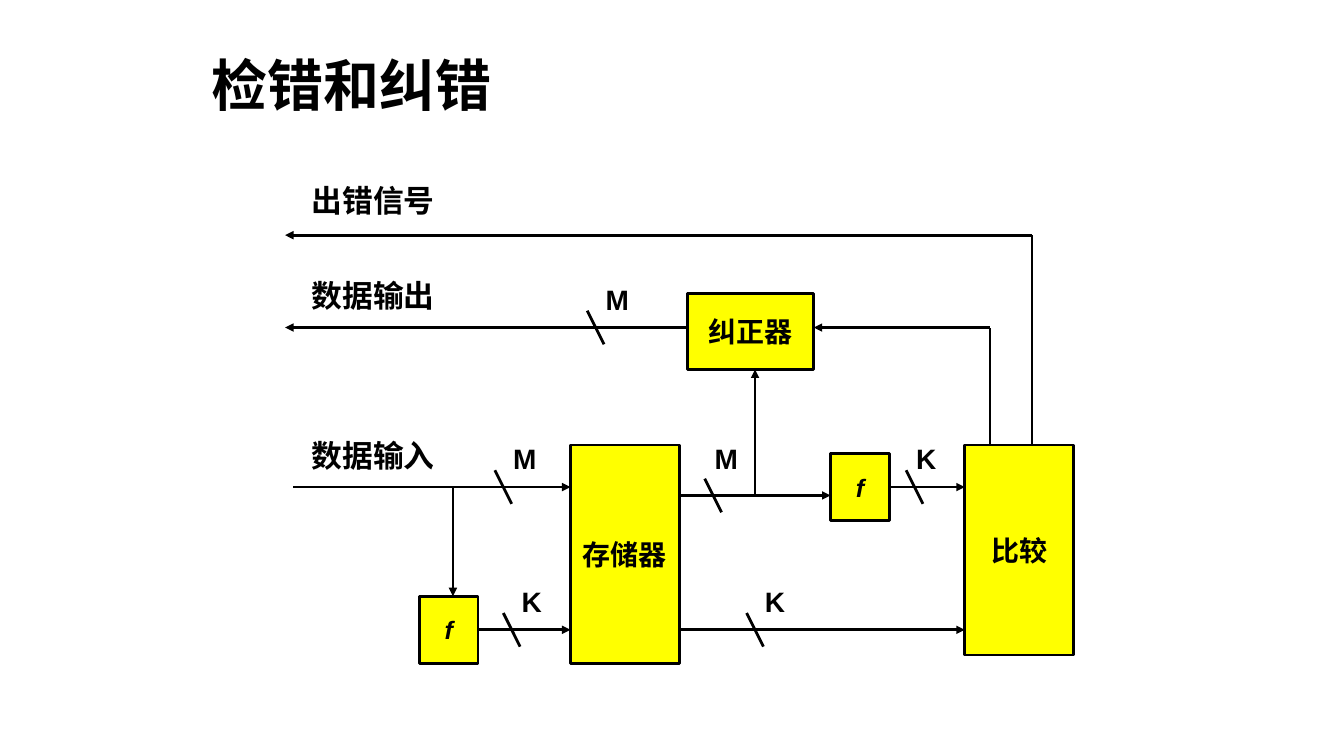
import pptx
import pptx.util
import pptx.dml.color
import pptx.enum.shapes
import pptx.enum.text
import pptx.oxml
import pptx.oxml.ns

Inches = pptx.util.Inches
Pt = pptx.util.Pt
ALIGN = pptx.enum.text.PP_ALIGN
ANCHOR = pptx.enum.text.MSO_ANCHOR

COLOURS = {"ink": "000000", "block": "FFFF00", "paper": "FFFFFF"}
GRID_COLUMNS = 94

BLOCKS = [
    ("f", 16, 50, 7, 8),
    ("存储器", 34, 32, 13, 26),
    ("比较", 81, 32, 13, 25),
    ("f", 65, 33, 7, 8),
    ("纠正器", 48, 14, 15, 9),
]
ARROWS = [
    (23, 54, 34, 54),
    (47, 54, 81, 54),
    (1, 37, 34, 37),
    (20, 37, 20, 50),
    (47, 38, 65, 38),
    (72, 37, 81, 37),
    (56, 38, 56, 23),
    (84, 18, 63, 18),
    (48, 18, 0, 18),
    (89, 7, 0, 7),
]
RISERS = [(84, 32, 84, 18), (89, 32, 89, 7)]
SIGNALS = [("数据输出", 2, 11.4), ("出错信号", 2, 0), ("数据输入", 2, 30.4)]
BUS_WIDTHS = [
    ("M", (37, 12), (36, 16)),
    ("M", (26, 31), (25, 35)),
    ("M", (50, 31), (50, 36)),
    ("K", (74, 31), (74, 35)),
    ("K", (56, 48), (55, 52)),
    ("K", (27, 48), (26, 52)),
]


def colour(name):
    return pptx.dml.color.RGBColor.from_string(COLOURS[name])


def add_span(para, text, size, font="Arial", italic=False):
    span = para.add_run()
    span.text = text
    span.font.name = font
    span.font.size = Pt(size)
    span.font.bold = True
    span.font.italic = italic
    span.font.color.rgb = colour("ink")


def add_title(page, left, top, width, height):
    title = page.shapes.title
    title.left, title.top = Inches(left), Inches(top)
    title.width, title.height = Inches(width), Inches(height)
    title.text_frame.vertical_anchor = ANCHOR.MIDDLE
    para = title.text_frame.paragraphs[0]
    para.alignment = ALIGN.LEFT
    para.line_spacing = 0.9
    add_span(para, "检错和纠错", 40, "Calibri")


def add_block(page, text, left, top, width, height):
    block = page.shapes.add_shape(
        pptx.enum.shapes.MSO_SHAPE.RECTANGLE,
        Inches(left), Inches(top), Inches(width), Inches(height))
    block.shadow.inherit = False
    block.fill.solid()
    block.fill.fore_color.rgb = colour("block")
    block.line.color.rgb = colour("ink")
    block.line.width = Pt(2)
    block.text_frame.word_wrap = False
    block.text_frame.vertical_anchor = ANCHOR.MIDDLE
    para = block.text_frame.paragraphs[0]
    para.alignment = ALIGN.CENTER
    is_function = text == "f"
    add_span(para, text, 18 if is_function else 20, italic=is_function)


def add_line(page, x1, y1, x2, y2, arrow=False):
    line = page.shapes.add_connector(
        pptx.enum.shapes.MSO_CONNECTOR.STRAIGHT,
        Inches(x1), Inches(y1), Inches(x2), Inches(y2))
    line.line.color.rgb = colour("ink")
    line.line.width = Pt(2)
    qn = pptx.oxml.ns.qn
    properties = line._element.spPr
    if arrow:
        tail = pptx.oxml.parse_xml(
            f'<a:tailEnd {pptx.oxml.ns.nsdecls("a")} type="triangle"/>')
        properties.find(qn("a:ln")).append(tail)
    properties.append(pptx.oxml.parse_xml(
        f'<a:effectLst {pptx.oxml.ns.nsdecls("a")}/>'))


def add_label(page, text, size, left, top, width, height):
    label = page.shapes.add_textbox(
        Inches(left), Inches(top), Inches(width), Inches(height))
    label.text_frame.word_wrap = True
    add_span(label.text_frame.paragraphs[0], text, size)


def add_diagram(page, left, top, width):
    unit = width / GRID_COLUMNS

    def at(x, y):
        return left + x * unit, top + y * unit

    for text, x, y, columns, rows in BLOCKS:
        add_block(page, text, *at(x, y), columns * unit, rows * unit)
    for lines, arrow in ((ARROWS, True), (RISERS, False)):
        for x1, y1, x2, y2 in lines:
            add_line(page, *at(x1, y1), *at(x2, y2), arrow)
    for text, x, y in SIGNALS:
        add_label(page, text, 22, *at(x, y), 20 * unit, 0.47)
    for text, label, (x, y) in BUS_WIDTHS:
        add_line(page, *at(x, y), *at(x + 2, y + 4))
        add_label(page, text, 20, *at(*label), 7 * unit, 0.44)


def main():
    deck = pptx.Presentation()
    deck.slide_width, deck.slide_height = Inches(13.34), Inches(7.5)
    page = deck.slides.add_slide(deck.slide_layouts[5])
    page.background.fill.solid()
    page.background.fill.fore_color.rgb = colour("paper")
    add_title(page, 2, 0.25, 9.34, 1.25)
    add_diagram(page, 2.83, 1.75, 7.83)
    deck.save("out.pptx")


if __name__ == "__main__":
    main()
